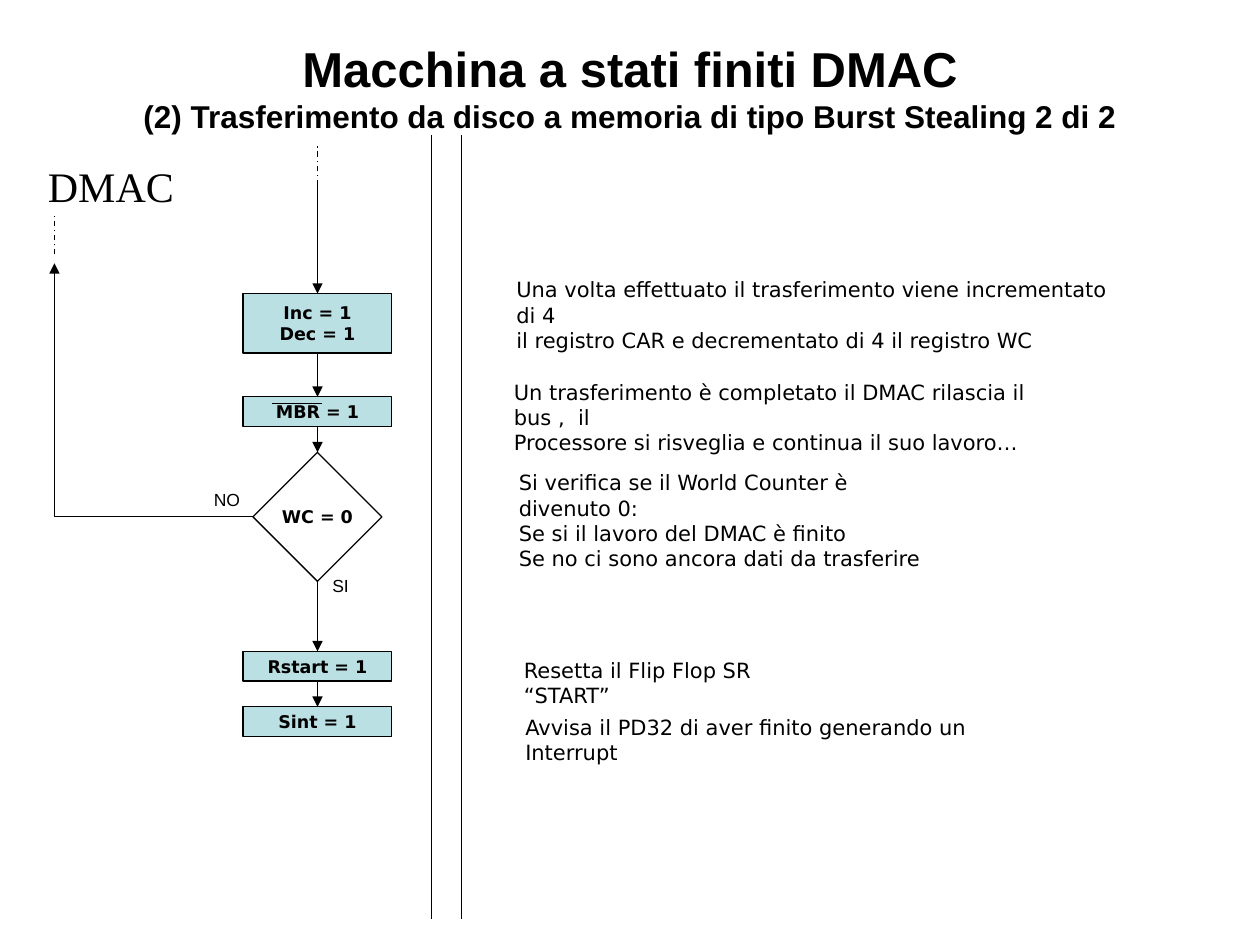
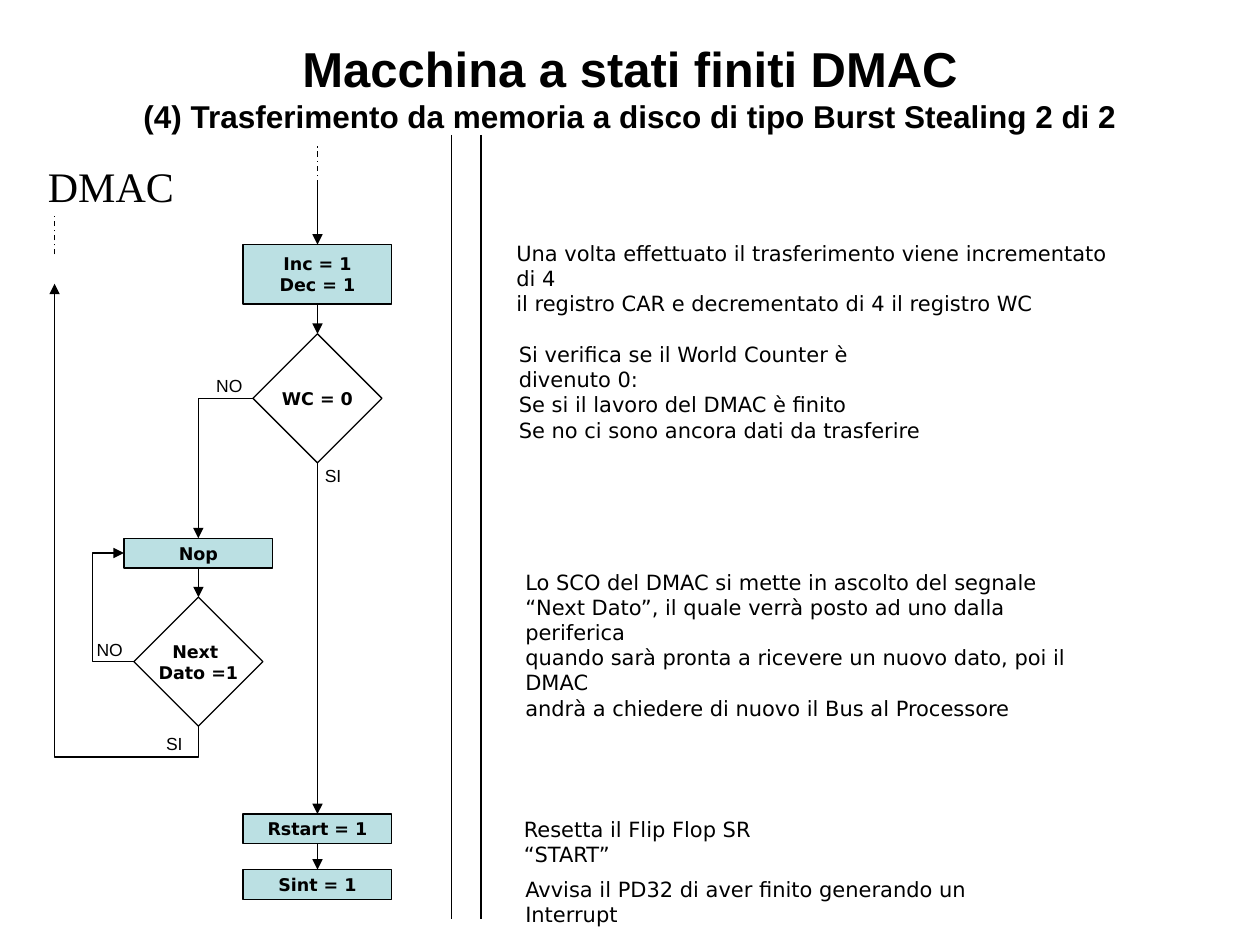
from dataclasses import dataclass
from lxml.etree import SubElement
from pptx import Presentation
from pptx.dml.color import RGBColor
from pptx.enum.dml import MSO_LINE
from pptx.enum.shapes import MSO_CONNECTOR, MSO_SHAPE
from pptx.enum.text import MSO_ANCHOR, MSO_AUTO_SIZE, PP_ALIGN
from pptx.oxml.ns import qn
from pptx.util import Cm, Pt


@dataclass(frozen=True)
class Theme:
    ink: RGBColor = RGBColor(0x00, 0x00, 0x00)
    paper: RGBColor = RGBColor(0xFF, 0xFF, 0xFF)
    state: RGBColor = RGBColor(0xBB, 0xE0, 0xE3)
    title_font: str = "Arial"
    body_font: str = "DejaVu Sans"
    unit_font: str = "Times New Roman"
    title_size: int = 28
    subtitle_size: int = 18
    unit_size: int = 24
    note_size: int = 12
    state_size: int = 10
    line_width: float = 0.75


theme = Theme()


def write_text(box, text, font, size, bold=False, align=PP_ALIGN.LEFT, wrap=False):
    frame = box.text_frame
    frame.text = text
    frame.word_wrap = wrap
    for paragraph in frame.paragraphs:
        paragraph.alignment = align
        for span in paragraph.runs:
            span.font.name = font
            span.font.size = Pt(size)
            span.font.bold = bold
            span.font.color.rgb = theme.ink


def draw_line(page, x1, y1, x2, y2, arrow=False, dash=False, kind=MSO_CONNECTOR.STRAIGHT):
    line = page.shapes.add_connector(kind, Cm(x1), Cm(y1), Cm(x2), Cm(y2))
    line.line.color.rgb = theme.ink
    line.line.width = Pt(theme.line_width)
    if dash:
        line.line.dash_style = MSO_LINE.DASH_DOT
    properties = line._element.spPr
    if arrow:
        SubElement(properties.find(qn("a:ln")), qn("a:tailEnd"), type="triangle")
    SubElement(properties, qn("a:effectLst"))
    return line


main_x, wait_x, return_x = 6.4, 4.0, 1.1
state_width, diamond_size, bus_gap = 3.0, 2.6, 0.6
entry_top, entry_bottom = 2.92, 3.73

increment_note = (
    "Una volta effettuato il trasferimento viene incrementato di 4\n"
    "il registro CAR e decrementato di 4 il registro WC"
)
release_note = (
    "Un trasferimento è completato il DMAC rilascia il bus ,  il\n"
    "Processore si risveglia e continua il suo lavoro…"
)
counter_note = (
    "Si verifica se il World Counter è divenuto 0:\n"
    "Se si il lavoro del DMAC è finito\n"
    "Se no ci sono ancora dati da trasferire"
)
wait_note = (
    "Lo SCO del DMAC si mette in ascolto del segnale\n"
    "“Next Dato”, il quale verrà posto ad uno dalla periferica\n"
    "quando sarà pronta a ricevere un nuovo dato, poi il DMAC\n"
    "andrà a chiedere di nuovo il Bus al Processore"
)
reset_note = "Resetta il Flip Flop SR “START”"
interrupt_note = "Avvisa il PD32 di aver finito generando un Interrupt"

# states: text, centre x, top, height; notes: text, left, top, width, height
# elbows: start, end, preset, bend, rotation
machines = [
    {
        "subtitle": "(2) Trasferimento da disco a memoria di tipo Burst Stealing 2 di 2",
        "bus": 8.7,
        "states": [
            ("Inc = 1\nDec = 1", main_x, 5.92, 1.2),
            ("MBR = 1", main_x, 8.0, 0.6),
            ("WC = 0", main_x, 9.12, diamond_size),
            ("Rstart = 1", main_x, 13.13, 0.6),
            ("Sint = 1", main_x, 14.25, 0.6),
        ],
        "arrows": [(0, 1), (1, 2), (2, 3), (3, 4)],
        "elbows": [(5.1, 10.42, return_x, 5.31, "bentConnector2", None, 0)],
        "labels": [("NO", 4.06, 9.73), ("SI", 6.45, 11.46)],
        "overlines": [(5.49, 6.5, 8.13)],
        "notes": [
            (increment_note, 10.16, 5.46, 12.47, 1.27),
            (release_note, 10.11, 7.52, 11.63, 1.27),
            (counter_note, 10.21, 9.35, 8.97, 1.78),
            (reset_note, 10.31, 13.13, 6.45, 0.76),
            (interrupt_note, 10.34, 14.27, 10.69, 0.76),
        ],
    },
    {
        "subtitle": "(4) Trasferimento da memoria a disco di tipo Burst Stealing 2 di 2",
        "bus": 9.1,
        "states": [
            ("Inc = 1\nDec = 1", main_x, 4.93, 1.2),
            ("WC = 0", main_x, 6.73, diamond_size),
            ("Nop", wait_x, 10.85, 0.6),
            ("Next \nDato =1", wait_x, 12.04, diamond_size),
            ("Rstart = 1", main_x, 16.41, 0.6),
            ("Sint = 1", main_x, 17.53, 0.6),
        ],
        "arrows": [(0, 1), (2, 3), (1, 4), (4, 5)],
        "elbows": [
            (5.1, 8.03, wait_x, 10.85, "bentConnector2", None, 0),
            (2.7, 13.34, 2.5, 11.15, "bentConnector3", 4.2, 0),
            (-1.91, 11.63, 7.01, 8.73, "bentConnector3", -0.07, 270),
        ],
        "labels": [
            ("NO", 4.11, 7.44),
            ("SI", 6.3, 9.25),
            ("NO", 1.7, 12.75),
            ("SI", 3.1, 14.66),
        ],
        "overlines": [],
        "notes": [
            (increment_note, 10.16, 4.72, 12.47, 1.27),
            (counter_note, 10.21, 6.76, 8.97, 1.78),
            (wait_note, 10.34, 11.35, 12.04, 2.29),
            (reset_note, 10.31, 16.33, 6.45, 0.76),
            (interrupt_note, 10.34, 17.55, 10.69, 0.76),
        ],
    },
]

deck = Presentation()
deck.slide_width, deck.slide_height = Cm(25.4), Cm(19.05)

for machine in machines:
    page = deck.slides.add_slide(deck.slide_layouts[5])

    title = page.shapes.title
    title.left, title.top, title.width, title.height = Cm(1.27), Cm(0.76), Cm(22.86), Cm(1.96)
    frame = title.text_frame
    write_text(title, "Macchina a stati finiti DMAC\v" + machine["subtitle"],
               theme.title_font, theme.title_size, True, PP_ALIGN.CENTER, True)
    frame.paragraphs[0].runs[1].font.size = Pt(theme.subtitle_size)
    frame.auto_size = MSO_AUTO_SIZE.NONE
    frame.vertical_anchor = MSO_ANCHOR.MIDDLE
    frame.margin_left = frame.margin_right = frame.margin_top = frame.margin_bottom = 0

    for x in (machine["bus"], machine["bus"] + bus_gap):
        draw_line(page, x, 2.72, x, 18.52)

    unit = page.shapes.add_textbox(Cm(0.71), Cm(3.12), Cm(3.05), Cm(1.27))
    write_text(unit, "DMAC", theme.unit_font, theme.unit_size, align=PP_ALIGN.CENTER)
    unit.text_frame.auto_size = MSO_AUTO_SIZE.SHAPE_TO_FIT_TEXT

    states = []
    for text, center, top, height in machine["states"]:
        is_test = height == diamond_size
        width = diamond_size if is_test else state_width
        box = page.shapes.add_shape(MSO_SHAPE.DIAMOND if is_test else MSO_SHAPE.RECTANGLE,
                                    Cm(center - width / 2), Cm(top), Cm(width), Cm(height))
        box.shadow.inherit = False
        box.fill.solid()
        box.fill.fore_color.rgb = theme.paper if is_test else theme.state
        box.line.color.rgb = theme.ink
        box.line.width = Pt(theme.line_width)
        box.text_frame.vertical_anchor = MSO_ANCHOR.MIDDLE
        write_text(box, text, theme.body_font, theme.state_size, True, PP_ALIGN.CENTER)
        states.append(box)

    draw_line(page, main_x, entry_bottom, main_x, entry_top, dash=True)
    draw_line(page, return_x, 5.13, return_x, 4.32, dash=True)
    entry = draw_line(page, main_x, entry_bottom, main_x, machine["states"][0][2], arrow=True)
    entry.end_connect(states[0], 0)
    for start, end in machine["arrows"]:
        arrow = draw_line(page, main_x, entry_bottom, main_x, entry_bottom, arrow=True)
        arrow.begin_connect(states[start], 2)
        arrow.end_connect(states[end], 0)

    for x1, y1, x2, y2, preset, bend, rotation in machine["elbows"]:
        elbow = draw_line(page, x1, y1, x2, y2, arrow=True, kind=MSO_CONNECTOR.ELBOW)
        properties = elbow._element.spPr
        geometry = properties.find(qn("a:prstGeom"))
        geometry.set("prst", preset)
        if bend is not None:
            SubElement(geometry.find(qn("a:avLst")), qn("a:gd"),
                       name="adj1", fmla=f"val {round(bend * 100000)}")
        if rotation:
            properties.find(qn("a:xfrm")).set("rot", str(rotation * 60000))

    for x1, x2, y in machine["overlines"]:
        draw_line(page, x1, y, x2, y)

    for text, left, top in machine["labels"]:
        label = page.shapes.add_textbox(Cm(left), Cm(top), Cm(1.04 if text == "NO" else 0.84), Cm(0.69))
        write_text(label, text, theme.title_font, theme.state_size)
        label.text_frame.auto_size = MSO_AUTO_SIZE.SHAPE_TO_FIT_TEXT

    for text, left, top, width, height in machine["notes"]:
        note = page.shapes.add_textbox(Cm(left), Cm(top), Cm(width), Cm(height))
        write_text(note, text, theme.body_font, theme.note_size, wrap=True)
        note.text_frame.auto_size = MSO_AUTO_SIZE.SHAPE_TO_FIT_TEXT

deck.save("out.pptx")
